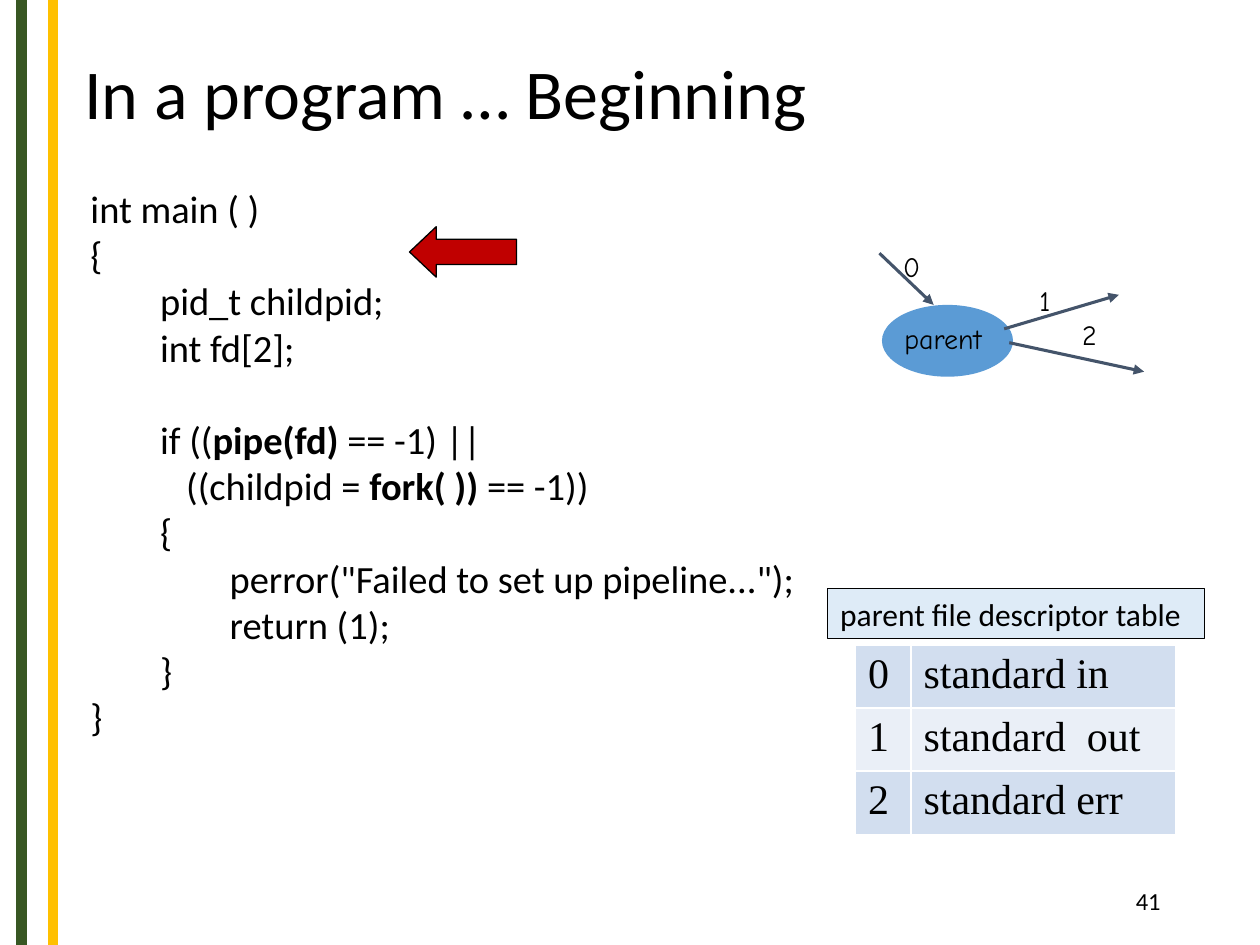
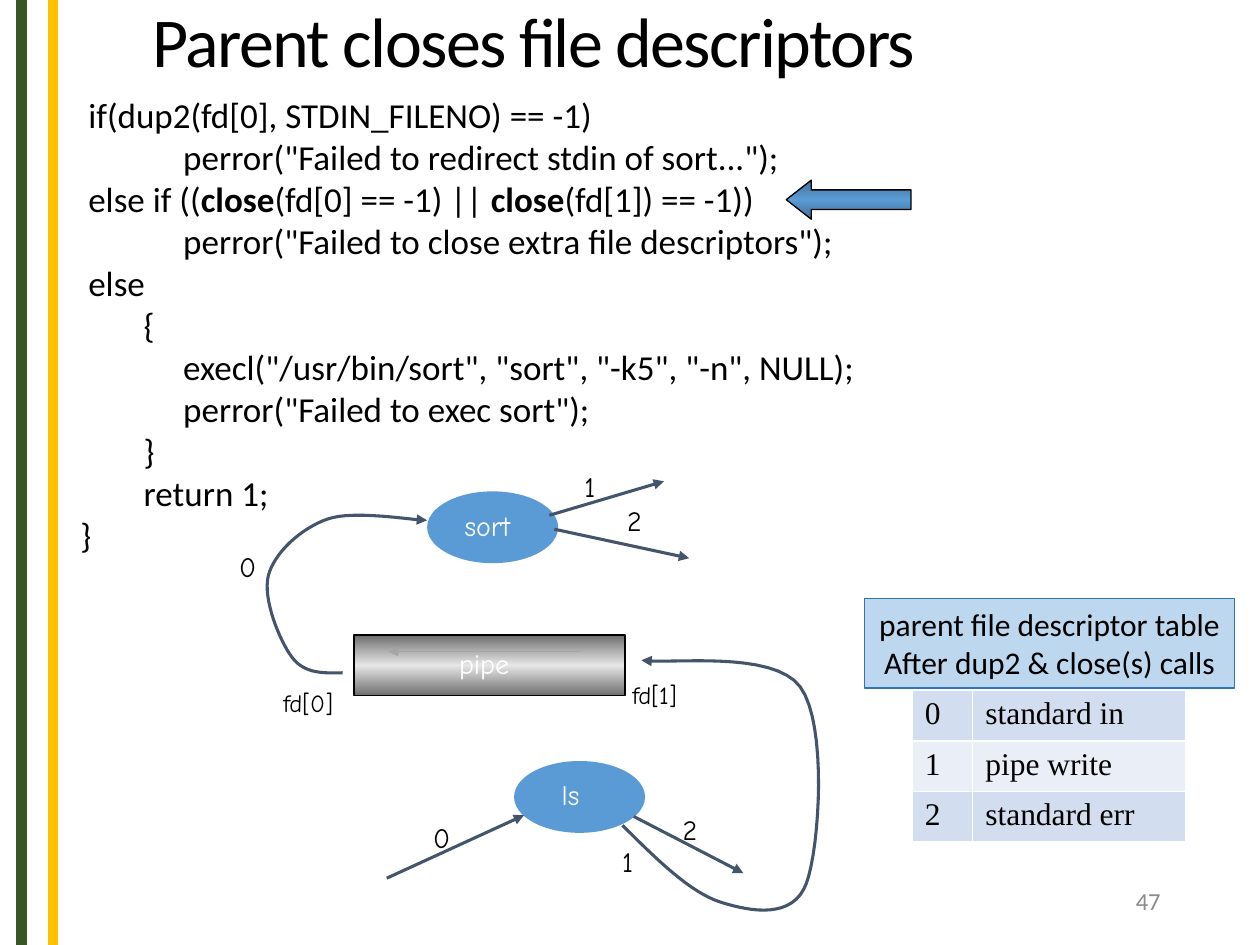
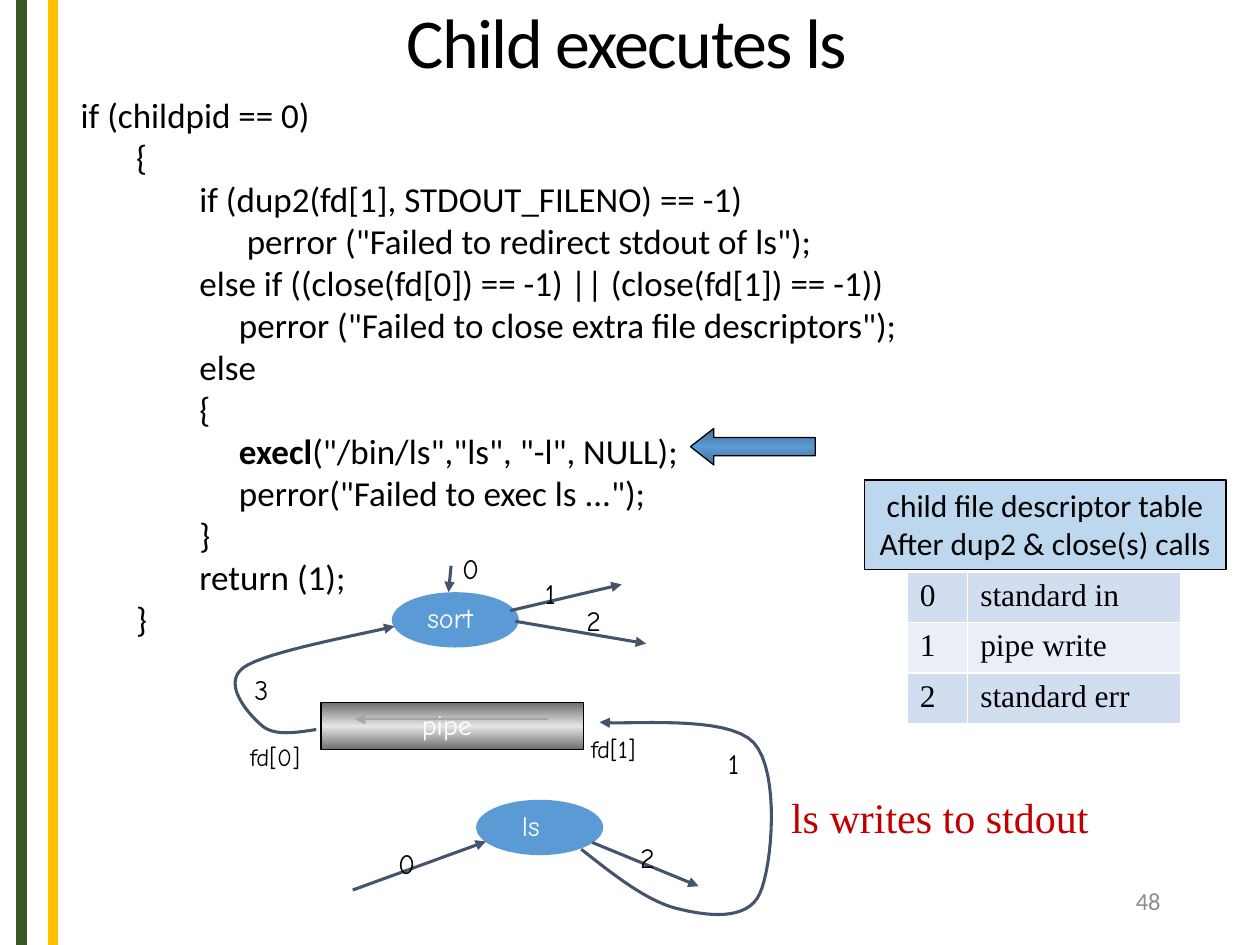
import copy
from dataclasses import dataclass

import pptx
import pptx.dml.color
import pptx.enum.shapes
import pptx.enum.text
import pptx.oxml
import pptx.oxml.ns
import pptx.util
from lxml import etree

Inches, Pt = pptx.util.Inches, pptx.util.Pt
qn = pptx.oxml.ns.qn
Kind = pptx.enum.shapes.MSO_SHAPE
Top = pptx.enum.text.MSO_ANCHOR.TOP
Mid = pptx.enum.text.MSO_ANCHOR.MIDDLE
Align = pptx.enum.text.PP_ALIGN


@dataclass(frozen=True)
class Theme:
    body: str = "Calibri"
    hand: str = "Comic Neue"
    serif: str = "Times New Roman"
    black: str = "000000"
    white: str = "FFFFFF"
    gray: str = "8C8C8C"
    red: str = "C00000"
    node: str = "5B9BD5"
    link: str = "44546A"
    flow: str = "A5A5A5"
    pale: str = "DEEBF7"
    light: str = "BDD7EE"
    edge: str = "2E75B6"
    steel: tuple = ("6E6E6E", "E7E6E6", "6E6E6E")
    blue: tuple = ("416F98", "5B9BD5", "416F98")
    bands: tuple = ("D2DEEF", "EAEFF7")
    title: int = 40
    note: int = 24
    cap: int = 18
    label: int = 16
    small: int = 14


T = Theme()
STRIPES = [(0.17, "385723"), (0.42, "FFC000")]
WIDE = {"parent": 0.88, "pipe": 0.68, "sort": 0.64, "ls": 0.48, "fd[0]": 0.68, "fd[1]": 0.65}

# Code: leading spaces set the indent, ** marks bold, an empty line is a gap
START = """\
int main ( )
{
        pid_t childpid;
        int fd[2];

        if ((**pipe(fd) **== -1) ||
           ((childpid = **fork( )) **== -1))
        {
                perror("Failed to set up pipeline...");
                return (1);
        }
}"""
PARENT = """\
 if(dup2(fd[0], STDIN_FILENO) == -1)
             perror("Failed to redirect stdin of sort...");
 else if ((**close**(fd[0] == -1) || **close**(fd[1]) == -1))
             perror("Failed to close extra file descriptors");
 else
        {
             execl("/usr/bin/sort", "sort", "-k5", "-n", NULL);
             perror("Failed to exec sort");
        }
        return 1;
}"""
CHILD = """\
 if (childpid == 0)
        {
                if (dup2(fd[1], STDOUT_FILENO) == -1)
                      perror ("Failed to redirect stdout of ls");
                else if ((close(fd[0]) == -1) || (close(fd[1]) == -1))
                     perror ("Failed to close extra file descriptors");
                else
                {
                     **execl**("/bin/ls","ls", "-l", NULL);
                     perror("Failed to exec ls ...");
                }
                return (1);
        }"""
CALLS = "After dup2 & close(s) calls"
ENDS = ["standard in", "pipe write", "standard err"]

# Diagram parts, measured from the corner of the first node
NODE = (1.04, 0.57)
FAN = [(0.97, 0.19, 1.88, -0.08), (1.01, 0.3, 2.08, 0.53)]
TAGS = [("1", 1.15, -0.22), ("2", 1.49, 0.05)]
PIPE = (-0.58, 1.14, 2.15, 0.48)
LS = (0.69, 2.14)
LS_FAN = [(-0.32, 3.07, 0.77, 2.57), (1.64, 2.58, 2.51, 3.03)]
LS_TAGS = [("0", -0.05, 2.56), ("2", 1.93, 2.5)]
LOOP = [(1.55, 2.65), (2.33, 3.26), (3.01, 3.11), (2.96, 1.55), (1.7, 1.34)]

# Pages: what differs from one to the next
PAGES = [
    dict(
        title=("In a program … Beginning", 0.57, 0.14), space=0.9, track=0,
        num=("41", T.black), code=(START, 0.62, 1.42, 22),
        arrow=(3.25, 1.8, 0.85, 0.4), tip=0.53, fill=T.red,
        node=("parent", T.black), base=(7, 2.42), scale=(1, 1),
        links=[(6.98, 2.01, 7.41, 2.42)], tags=[("0", 7.07, 1.93)],
        cap=["parent file descriptor table"], area=(6.57, 4.67, 2.99, 0.4),
        paint=(T.pale, T.black),
        table=(6.79, 5.12), cols=(0.44, 2.1), row=0.5, size=24,
        cells=["standard in", "standard  out", "standard err"],
    ),
    dict(
        title=("Parent closes file descriptors", 1.11, -0.26), space=0.85, track=-90,
        num=("47", T.gray), code=(PARENT, 0.54, 0.69, 20),
        arrow=(6.24, 1.43, 0.99, 0.31), tip=0.64, fill=T.blue,
        node=("sort", T.white), base=(3.39, 3.9), scale=(1, 1),
        links=[], tags=[("1", 4.84, 6.65), ("0", 1.8, 4.31)],
        curve=[(2.72, 5.34), (2.32, 5.22), (2.13, 4.57), (2.6, 4.12), (3.39, 4.13)],
        cap=["parent file descriptor table", CALLS], area=(6.86, 4.75, 2.94, 0.71),
        paint=(T.light, T.edge),
        table=(7.24, 5.48), cols=(0.48, 1.69), row=0.4, size=18, cells=ENDS,
    ),
    dict(
        title=("Child executes ls", 3.13, -0.25), space=0.85, track=-90,
        num=("48", T.gray), code=(CHILD, 0.48, 0.69, 20),
        arrow=(5.48, 3.4, 0.99, 0.29), tip=0.64, fill=T.blue,
        node=("sort", T.white), base=(3.11, 4.7), scale=(0.97, 0.77),
        links=[(3.58, 4.49, 3.56, 4.7)],
        tags=[("3", 1.92, 5.29), ("1", 5.68, 5.88), ("0", 3.57, 4.33)],
        curve=[(2.51, 5.79), (2.08, 5.76), (1.93, 5.3), (3.13, 4.97)],
        cap=["child file descriptor table", CALLS], area=(6.86, 3.81, 2.87, 0.71),
        paint=(T.light, T.black),
        table=(7.2, 4.54), cols=(0.48, 1.69), row=0.4, size=18, cells=ENDS,
        note=("ls writes to stdout", 6.18, 6.23),
    ),
]


def rgb(tint):
    return pptx.dml.color.RGBColor.from_string(tint)


def inch(nums):
    return [Inches(n) for n in nums]


# Text
def write(para, text, size, face=T.body, tint=T.black):
    for i, part in enumerate(text.split("**")):
        if part:
            run = para.add_run()
            run.text = part
            font = run.font
            font.size, font.name, font.bold = Pt(size), face, i % 2 == 1
            font.color.rgb = rgb(tint)


def add_box(page, at, wrap=True, anchor=Top):
    frame = page.shapes.add_textbox(*inch(at)).text_frame
    frame.word_wrap = wrap
    frame.vertical_anchor = anchor
    return frame


def next_para(frame):
    first = frame.paragraphs[0]
    return frame.add_paragraph() if first.runs else first


def add_title(page, text, left, top, space, track):
    para = add_box(page, (left, top, 9.5 - left, 1.25), anchor=Mid).paragraphs[0]
    para.line_spacing = space
    write(para, text, T.title)
    if track:
        para.runs[0].font._element.set("spc", str(track))


def add_code(page, code, left, top, size):
    rows = code.split("\n")
    frame = add_box(page, (left, top, 7, len(rows) * size / 60 + 0.1))
    gap = 0
    for row in rows:
        text = row.lstrip()
        if not text:
            gap = 1.2 * size
            continue
        para = next_para(frame)
        dent = Pt((len(row) - len(text)) * 0.226 * size)
        para._p.get_or_add_pPr().set("marL", str(dent))
        if gap:
            para.space_before = Pt(gap)
        write(para, text, size)
        gap = 0


def add_label(page, text, left, top, tint=T.black):
    size = T.small if text.startswith("fd") else T.label
    frame = add_box(page, (left, top, WIDE.get(text, 0.34), 0.37), wrap=False)
    write(frame.paragraphs[0], text, size, T.hand, tint)


# Shapes and lines
def add_shape(page, kind, at, fill, edge=None):
    shape = page.shapes.add_shape(kind, *inch(at))
    shape.shadow.inherit = False
    if isinstance(fill, tuple):
        shape.fill.gradient()
        shape.fill.gradient_angle = 90
        stops = shape._element.spPr.find(".//" + qn("a:gsLst"))
        stops.append(copy.deepcopy(stops[0]))
        for i, (stop, tint) in enumerate(zip(shape.fill.gradient_stops, fill)):
            stop.color.rgb = rgb(tint)
            stop.position = i / 2
    else:
        shape.fill.solid()
        shape.fill.fore_color.rgb = rgb(fill)
    if edge:
        shape.line.color.rgb = rgb(edge)
        shape.line.width = Pt(0.75)
    else:
        shape.line.fill.background()
    return shape


def draw(shape, tint, width, head=True):
    shape.line.color.rgb = rgb(tint)
    shape.line.width = Pt(width)
    if head:
        line = shape._element.spPr.find(qn("a:ln"))
        etree.SubElement(line, qn("a:tailEnd"), type="triangle")


def add_line(page, ends, tint=T.link, width=1.75, head=True):
    kind = pptx.enum.shapes.MSO_CONNECTOR.STRAIGHT
    line = page.shapes.add_connector(kind, *inch(ends))
    draw(line, tint, width, head)
    etree.SubElement(line._element.spPr, qn("a:effectLst"))


def bend(a, b, c, d, t):
    u = 1 - t
    return u**3 * a + 3 * u * u * t * b + 3 * u * t * t * c + t**3 * d


def add_curve(page, knots, steps=16):
    last = len(knots) - 1
    pull = [[(q - p) / 6 for p, q in zip(knots[max(i - 1, 0)], knots[min(i + 1, last)])]
            for i in range(last + 1)]
    dots = []
    for i in range(last):
        a, d = knots[i], knots[i + 1]
        c = [p - v for p, v in zip(d, pull[i + 1])]
        b = [p + v for p, v in zip(a, pull[i])]
        if i == 0:
            b = [(p + q) / 2 for p, q in zip(a, c)]
        for n in range(1, steps + 1):
            dots.append(inch(bend(*four, n / steps) for four in zip(a, b, c, d)))
    pen = page.shapes.build_freeform(*inch(knots[0]))
    pen.add_line_segments(dots, close=False)
    curve = pen.convert_to_shape()
    curve.shadow.inherit = False
    curve.fill.background()
    draw(curve, T.link, 1.75)


# Process diagram
def add_graph(page, data):
    (bx, by), (sx, sy) = data["base"], data["scale"]

    def spot(x, y):
        return bx + sx * x, by + sy * y

    def add_part(kind, text, at, size, fill, edge, tint):
        (x, y), (w, h) = spot(*at), (size[0] * sx, size[1] * sy)
        add_shape(page, kind, (x, y, w, h), fill, edge)
        add_label(page, text, x + (w - WIDE[text]) / 2, y + h / 2 - 0.2, tint)
        return x, y, w, h

    name, tint = data["node"]
    links, tags = FAN, TAGS
    add_part(Kind.OVAL, name, (0, 0), NODE, T.node, None, tint)
    if "curve" in data:
        x, y, w, h = add_part(Kind.RECTANGLE, "pipe", PIPE[:2], PIPE[2:],
                              T.steel, T.black, T.white)
        add_line(page, (x + 1.8, y + 0.13, x + 0.27, y + 0.13), T.flow, 0.75)
        add_label(page, "fd[0]", x - 0.66, y + h - 0.11)
        add_label(page, "fd[1]", x + w - 0.04, y + h - 0.17)
        add_part(Kind.OVAL, "ls", LS, NODE, T.node, None, T.white)
        add_curve(page, [spot(*knot) for knot in LOOP])
        add_curve(page, data["curve"])
        links, tags = FAN + LS_FAN, TAGS + LS_TAGS
    for ends in [spot(*e[:2]) + spot(*e[2:]) for e in links] + data["links"]:
        add_line(page, ends)
    for tag in [(text, *spot(x, y)) for text, x, y in tags] + data["tags"]:
        add_label(page, *tag)


# Table and its caption
def add_cap(page, lines, at, fill, edge):
    frame = add_shape(page, Kind.RECTANGLE, at, fill, edge).text_frame
    frame.word_wrap = False
    frame.vertical_anchor = Top
    for text in lines:
        para = next_para(frame)
        para.alignment = Align.CENTER if len(lines) > 1 else Align.LEFT
        write(para, text, T.cap)


def add_grid(page, at, cols, row, size, cells):
    area = (*at, sum(cols), row * len(cells))
    grid = page.shapes.add_table(len(cells), len(cols), *inch(area)).table
    grid.first_row = grid.horz_banding = False
    for col, width in zip(grid.columns, cols):
        col.width = Inches(width)
    for i, name in enumerate(cells):
        for j, text in enumerate((str(i), name)):
            cell = grid.cell(i, j)
            props = cell._tc.get_or_add_tcPr()
            for side in ("lnL", "lnR", "lnT", "lnB"):
                line = etree.SubElement(props, qn("a:" + side), w=str(Pt(1)))
                fill = etree.SubElement(line, qn("a:solidFill"))
                etree.SubElement(fill, qn("a:srgbClr"), val=T.white)
            cell.fill.solid()
            cell.fill.fore_color.rgb = rgb(T.bands[i % 2])
            write(cell.text_frame.paragraphs[0], text, size, T.serif)


def add_page(deck, data):
    page = deck.slides.add_slide(deck.slide_layouts[6])
    # Side stripes, title and page number
    for x, tint in STRIPES:
        add_line(page, (x, 0, x, 7.5), tint, 6, head=False)
    add_title(page, *data["title"], data["space"], data["track"])
    num, tint = data["num"]
    para = add_box(page, (7.06, 6.95, 2.25, 0.4), anchor=Mid).paragraphs[0]
    para.alignment = Align.RIGHT
    write(para, num, T.small, tint=tint)
    # Code with its pointer
    add_code(page, *data["code"])
    arrow = add_shape(page, Kind.LEFT_ARROW, data["arrow"], data["fill"], T.black)
    arrow.adjustments[1] = data["tip"]
    # Diagram, table and note
    add_graph(page, data)
    add_cap(page, data["cap"], data["area"], *data["paint"])
    add_grid(page, *[data[key] for key in ("table", "cols", "row", "size", "cells")])
    if "note" in data:
        text, left, top = data["note"]
        frame = add_box(page, (left, top, 2.65, 0.5))
        write(frame.paragraphs[0], text, T.note, T.serif, T.red)


def main():
    deck = pptx.Presentation()
    deck.slide_width, deck.slide_height = Inches(10), Inches(7.5)
    for data in PAGES:
        add_page(deck, data)
    deck.save("out.pptx")


if __name__ == "__main__":
    main()
